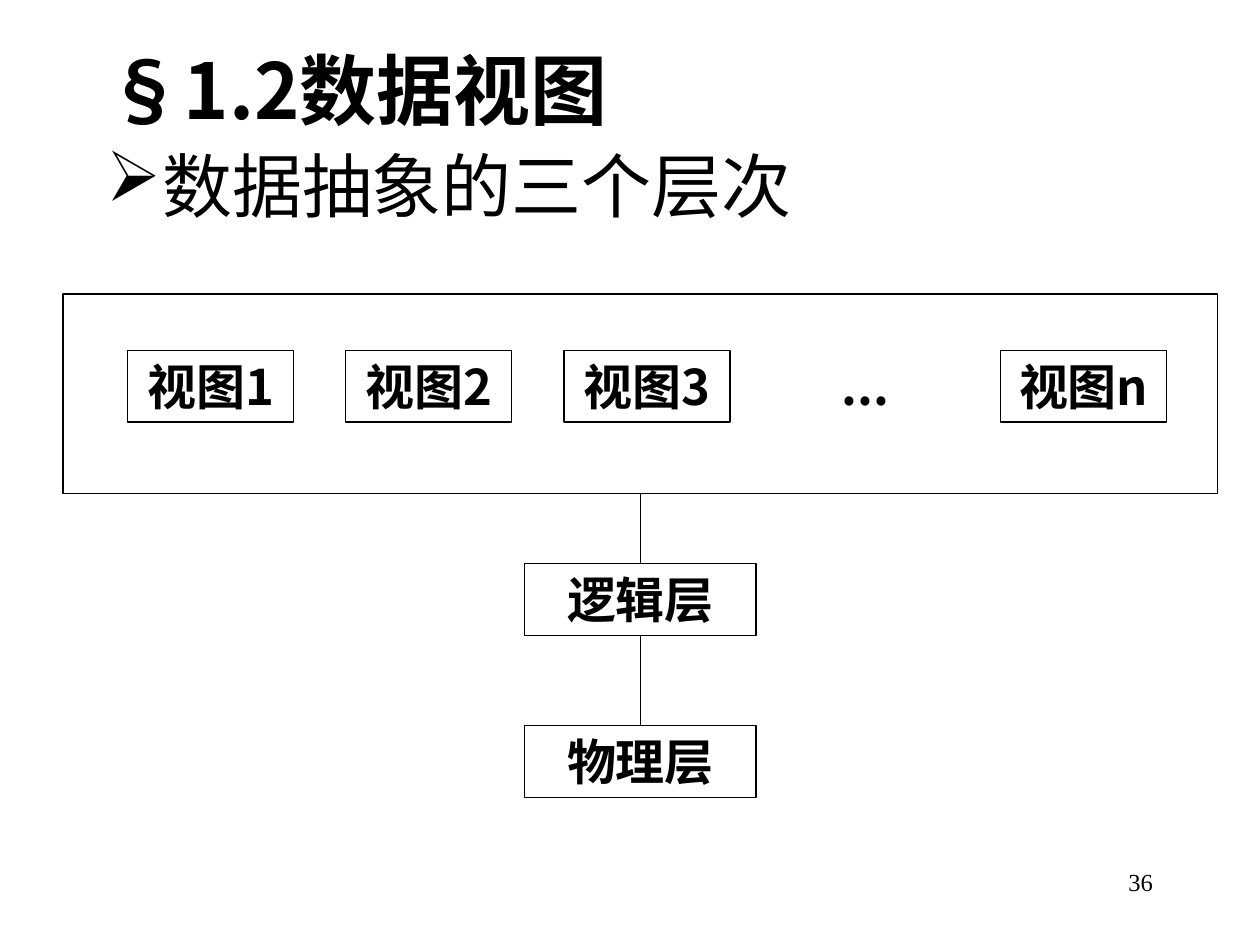
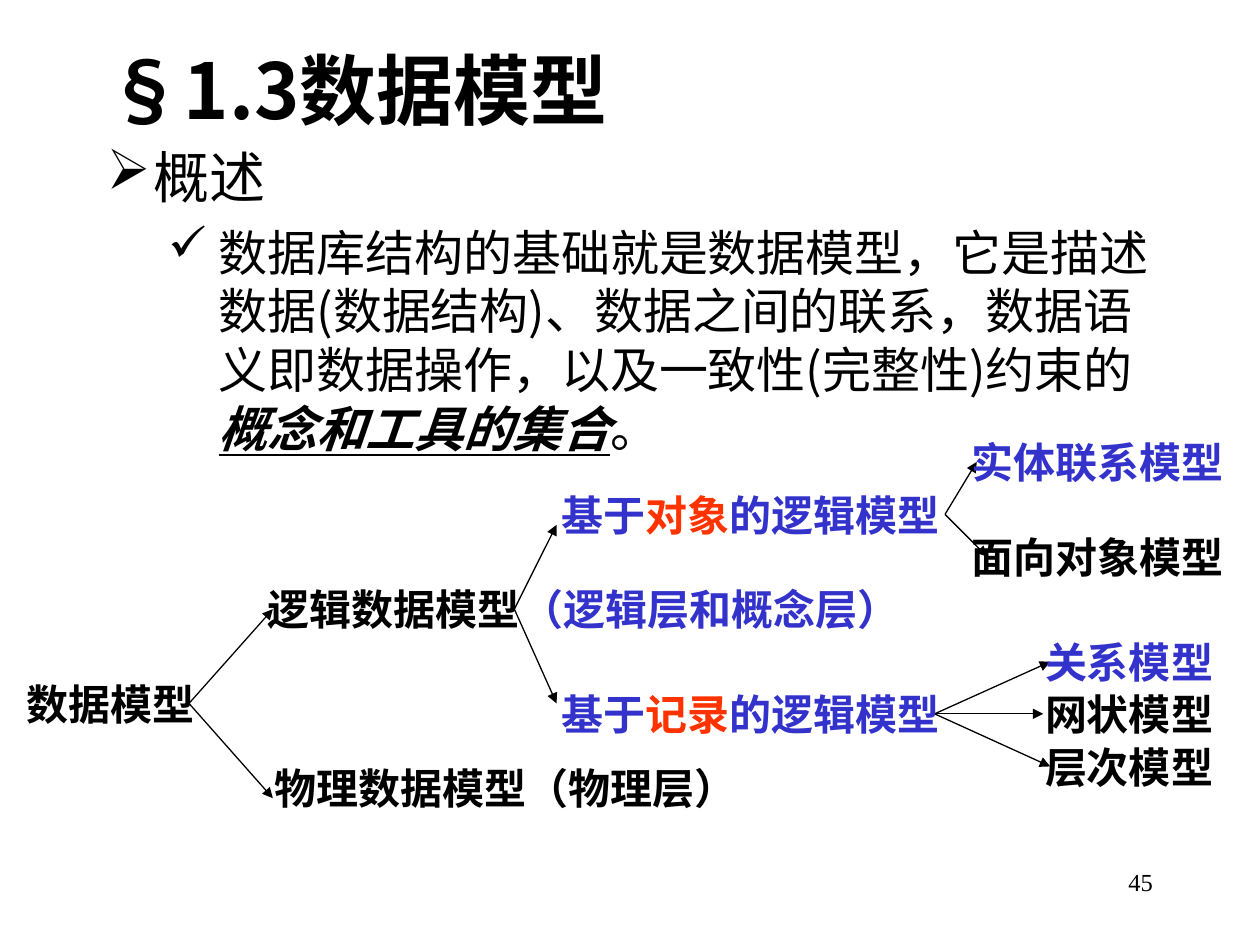
import pptx
import pptx.util
import pptx.dml.color
import pptx.enum.shapes
import pptx.enum.text
import pptx.oxml
import pptx.oxml.ns
from lxml import etree

Cm, Pt = pptx.util.Cm, pptx.util.Pt
RGB = pptx.dml.color.RGBColor
ALIGN = pptx.enum.text.PP_ALIGN
ANCHOR = pptx.enum.text.MSO_ANCHOR
RECTANGLE = pptx.enum.shapes.MSO_SHAPE.RECTANGLE
STRAIGHT = pptx.enum.shapes.MSO_CONNECTOR.STRAIGHT
qn = pptx.oxml.ns.qn

BLACK, WHITE = RGB(0, 0, 0), RGB(0xFF, 0xFF, 0xFF)
BLUE, RED = RGB(0x33, 0x33, 0xCC), RGB(0xFF, 0x33, 0x00)
SANS, SERIF = "Noto Sans CJK SC", "Times New Roman"

# Shared places in cm: left, top, width, height
TITLE_BOX = (1.9, 0.42, 21.6, 2.75)
NUMBER_BOX = (18.21, 17.36, 5.28, 1.27)
BODY_LEFT, BODY_TOP, BODY_WIDTH = 1.9, 2.75, 21.6

# Slide 1: views above the logical and physical layers
VIEWS = ["视图1", "视图2", "视图3", "...", "视图n"]
VIEW_FRAME = (1.27, 5.93, 23.28, 4.02)
VIEW_LEFT, VIEW_TOP, VIEW_PITCH, VIEW_WIDTH = 2.57, 7.06, 4.4, 3.35
LAYERS = [("逻辑层", 11.36), ("物理层", 14.63)]
LAYER_WIDTH, LEVEL_HEIGHT = 4.66, 1.45

# Slide 2: definition and tree of data models
DEFINITION = [
    ("数据库结构的基础就是数据模型，它是描述数据(数据结构)、数据之间的联系，"
     "数据语义即数据操作，以及一致性(完整性)约束的", {}),
    ("概念和工具的集合", dict(bold=True, italic=True, underline=True)),
    ("。", {}),
]


def based_on(basis):
    return [("基于", {}), (basis, dict(color=RED)), ("的逻辑模型", {})]


LABEL_HEIGHT = 1.27
MODELS = [  # text, left, top, width, color
    (based_on("对象"), 11.0, 9.74, 8.26, BLUE),
    ("数据模型", 0.21, 13.55, 4.02, BLACK),
    (based_on("记录"), 11.0, 13.76, 8.26, BLUE),
    ("网状模型", 20.75, 13.76, 4.02, BLACK),
    ("层次模型", 20.75, 14.82, 4.02, BLACK),
    ("关系模型", 20.75, 12.7, 4.02, BLUE),
    ("面向对象模型", 19.26, 10.58, 5.72, BLACK),
    ("实体联系模型", 19.26, 8.68, 5.72, BLUE),
    ("（逻辑层和概念层）", 10.16, 11.64, 8.33, BLUE),
    ("逻辑数据模型", 5.08, 11.64, 5.72, BLACK),
    ("物理数据模型（物理层）", 5.1, 15.24, 10.19, BLACK),
]
BRANCHES = [  # start of the fan, arrow ends
    ((3.81, 14.18), [(5.5, 12.28), (5.5, 16.09)]),
    ((10.37, 12.28), [(11.22, 10.58), (11.22, 14.18)]),
    ((19.05, 10.37), [(19.69, 9.31), (19.9, 11.22)]),
    ((18.84, 14.39), [(21.03, 14.39), (21.17, 13.34), (21.17, 15.45)]),
]


def write(paragraph, text, size=28, font=SANS, color=BLACK, bold=False,
          align=ALIGN.LEFT, bullet=None, margin=0, hang=0, before=None):
    """Fill a paragraph with a string or a list of (string, format) runs."""
    if bullet:
        props = paragraph._p.get_or_add_pPr()
        props.set("marL", str(Cm(margin)))
        props.set("indent", str(-Cm(hang)))
        bullet_color = etree.SubElement(props, qn("a:buClr"))
        etree.SubElement(bullet_color, qn("a:srgbClr"), val=str(BLACK))
        etree.SubElement(props, qn("a:buChar"), char=bullet)
    paragraph.alignment = align
    paragraph.line_spacing = 1.0
    if before:
        paragraph.space_before = Pt(before)
    for part, style in [(text, {})] if isinstance(text, str) else text:
        run = paragraph.add_run()
        run.text = part
        run.font.size = Pt(size)
        run.font.name = font
        run.font.bold = style.get("bold", bold)
        run.font.italic = style.get("italic", False)
        run.font.underline = style.get("underline", False)
        run.font.color.rgb = style.get("color", color)
        etree.SubElement(run._r.get_or_add_rPr(), qn("a:ea"), typeface=font)


def add_text(slide, box, text, anchor=ANCHOR.TOP, **style):
    frame = slide.shapes.add_textbox(*map(Cm, box)).text_frame
    frame.word_wrap = True
    frame.vertical_anchor = anchor
    write(frame.paragraphs[0], text, **style)
    return frame


def add_box(slide, box, text="", fill=None, line=BLACK):
    rectangle = slide.shapes.add_shape(RECTANGLE, *map(Cm, box))
    rectangle.shadow.inherit = False
    if fill is None:
        rectangle.fill.background()
    else:
        rectangle.fill.solid()
        rectangle.fill.fore_color.rgb = fill
    rectangle.line.color.rgb = line
    rectangle.line.width = Pt(0.75)
    if text:
        rectangle.text_frame.vertical_anchor = ANCHOR.TOP
        write(rectangle.text_frame.paragraphs[0], text, bold=True,
              align=ALIGN.CENTER)
    return rectangle


def add_line(slide, start=(0, 0), end=(0, 0), arrow=False):
    line = slide.shapes.add_connector(STRAIGHT, *map(Cm, (*start, *end)))
    line.line.color.rgb = BLACK
    line.line.width = Pt(0.75)
    if arrow:
        etree.SubElement(line.line._get_or_add_ln(), qn("a:tailEnd"),
                         type="triangle")
    etree.SubElement(line._element.spPr, qn("a:effectLst"))
    return line


def add_section(deck, title, number, topic, topic_size, body_height):
    """Start a slide with its number, title and topic; return slide and body."""
    slide = deck.slides.add_slide(deck.slide_layouts[6])
    add_text(slide, NUMBER_BOX, number, size=14, font=SERIF, align=ALIGN.RIGHT)
    add_text(slide, TITLE_BOX, title, anchor=ANCHOR.MIDDLE, size=44, bold=True)
    body = add_text(slide, (BODY_LEFT, BODY_TOP, BODY_WIDTH, body_height),
                    topic, size=topic_size, bullet="➢", margin=0.95, hang=0.95)
    return slide, body


def build_views(deck):
    slide, _ = add_section(deck, "§1.2数据视图", "36",
                           "数据抽象的三个层次", 40, 14.18)
    upper = add_box(slide, VIEW_FRAME, fill=WHITE)
    for i, view in enumerate(VIEWS):
        colors = dict(fill=WHITE, line=WHITE) if view == "..." else {}
        add_box(slide, (VIEW_LEFT + i * VIEW_PITCH, VIEW_TOP, VIEW_WIDTH,
                        LEVEL_HEIGHT), view, **colors)

    # Layers centred below the views, each joined to the one above
    layer_left = VIEW_FRAME[0] + (VIEW_FRAME[2] - LAYER_WIDTH) / 2
    for name, top in LAYERS:
        layer = add_box(slide, (layer_left, top, LAYER_WIDTH, LEVEL_HEIGHT),
                        name)
        link = add_line(slide)
        link.begin_connect(upper, 2)
        link.end_connect(layer, 0)
        upper = layer


def build_models(deck):
    slide, body = add_section(deck, "§1.3数据模型", "45", "概述", 32, 6.78)
    definition = body.add_paragraph()
    definition.level = 1
    write(definition, DEFINITION, bullet="✓", margin=2.26, hang=1.02, before=7)

    # Tree: arrows, then labels
    for start, ends in BRANCHES:
        for end in ends:
            add_line(slide, start, end, arrow=True)
    for text, left, top, width, color in MODELS:
        add_text(slide, (left, top, width, LABEL_HEIGHT), text, size=24,
                 bold=True, color=color, align=ALIGN.CENTER)


def main():
    deck = pptx.Presentation()
    deck.slide_width, deck.slide_height = Cm(25.4), Cm(19.05)
    build_views(deck)
    build_models(deck)
    deck.save("out.pptx")


if __name__ == "__main__":
    main()
